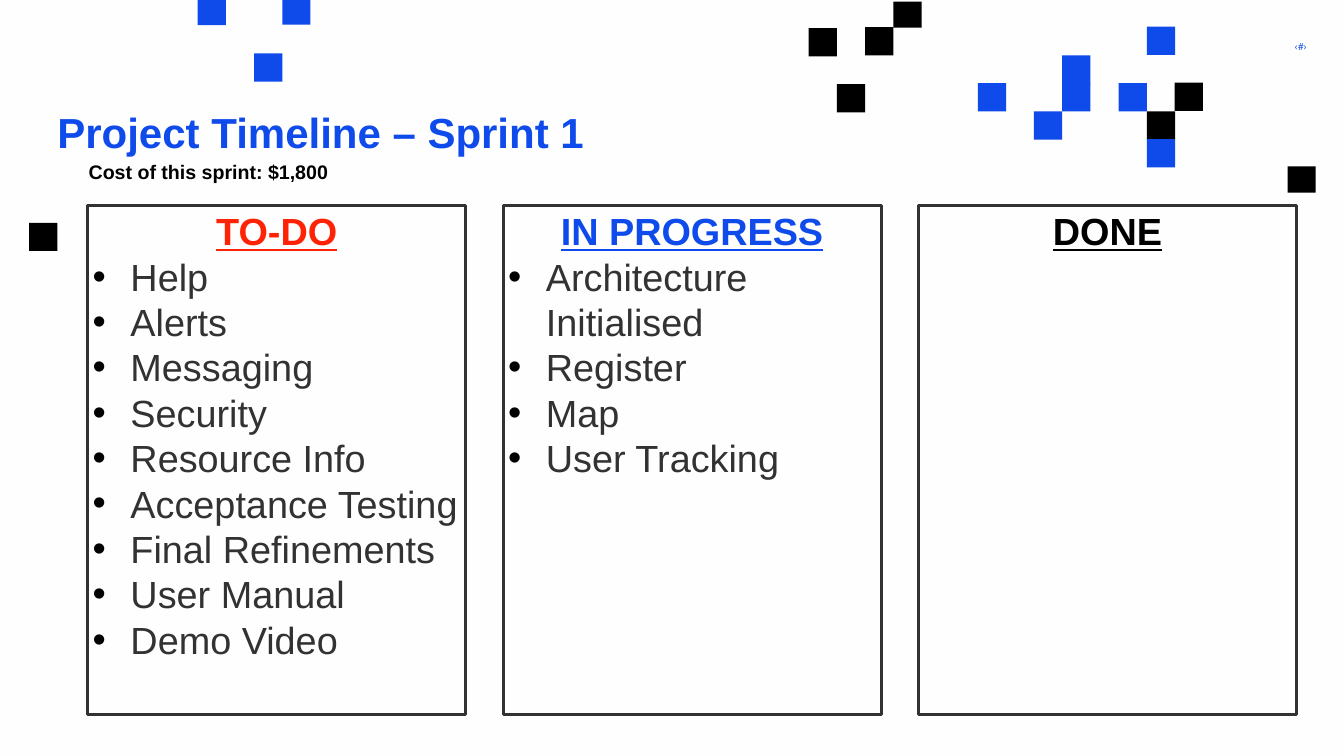
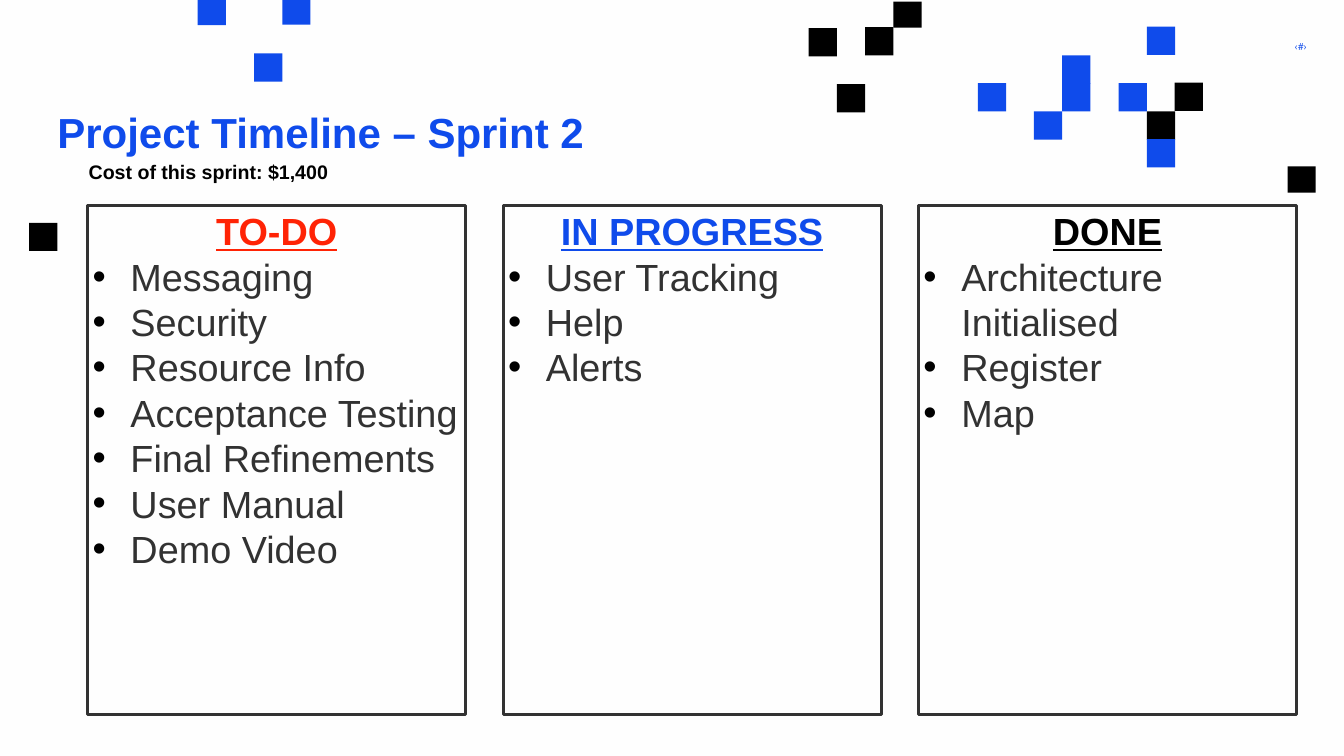
"""Build the two sprint timeline slides with their task boards."""
from dataclasses import dataclass

from lxml.etree import SubElement
from pptx import Presentation
from pptx.dml.color import RGBColor
from pptx.enum.shapes import MSO_SHAPE
from pptx.enum.text import MSO_ANCHOR as Anchor, MSO_AUTO_SIZE as AutoSize, PP_ALIGN as Align
from pptx.oxml.ns import qn
from pptx.shapes.autoshape import Shape
from pptx.slide import Slide
from pptx.text.text import TextFrame, _Paragraph as Paragraph
from pptx.util import Inches, Pt

COLORS = {
    "paper": "FEFEFE",
    "blue": "0F4BEB",
    "black": "000000",
    "red": "FF2305",
    "gray": "323232",
}
TILE = 0.56
COLUMN_LEFT, COLUMN_TOP = 1.74, 4.08
COLUMN_WIDTH, COLUMN_HEIGHT = 7.5, 10.1
COLUMN_STEP = 8.24
INDENT = 0.75


@dataclass(frozen=True)
class Tile:
    left: float
    top: float
    color: str
    height: float = TILE


@dataclass(frozen=True)
class Column:
    heading: str
    color: str


@dataclass(frozen=True)
class Sprint:
    number: int
    cost: str
    tasks: tuple[list[str], list[str], list[str]]


TILES = [
    Tile(5.6, 0, "blue", 0.49),
    Tile(3.92, 0, "blue", 0.5),
    Tile(5.04, 1.06, "blue"),
    Tile(0.58, 4.42, "black"),
    Tile(17.72, 0.03, "black", 0.52),
    Tile(22.75, 0.53, "blue"),
    Tile(17.16, 0.54, "black"),
    Tile(16.04, 0.56, "black"),
    Tile(21.07, 1.1, "blue"),
    Tile(23.3, 1.64, "black"),
    Tile(22.19, 1.65, "blue"),
    Tile(21.07, 1.65, "blue"),
    Tile(19.4, 1.65, "blue"),
    Tile(16.6, 1.67, "black"),
    Tile(22.75, 2.21, "black"),
    Tile(20.51, 2.21, "blue"),
    Tile(22.75, 2.76, "blue"),
    Tile(25.54, 3.3, "black", 0.52),
]
COLUMNS = [Column("TO-DO", "red"), Column("IN PROGRESS", "blue"), Column("DONE", "black")]
LATER_TASKS = [
    "Messaging", "Security", "Resource Info", "Acceptance Testing",
    "Final Refinements", "User Manual", "Demo Video",
]
FIRST_TASKS = ["Architecture Initialised", "Register", "Map"]
SPRINTS = [
    Sprint(1, "$1,800", (["Help", "Alerts", *LATER_TASKS], [*FIRST_TASKS, "User Tracking"], [])),
    Sprint(2, "$1,400", (LATER_TASKS, ["User Tracking", "Help", "Alerts"], FIRST_TASKS)),
]


def rgb(name: str) -> RGBColor:
    return RGBColor.from_string(COLORS[name])


def write(para: Paragraph, text: str, *, size: float, color: str, font: str = "Arial",
          bold: bool = False, underline: bool = False, align: Align = Align.LEFT) -> None:
    para.alignment = align
    span = para.add_run()
    span.text = text
    span.font.name = font
    span.font.size = Pt(size)
    span.font.bold = bold
    span.font.underline = underline
    span.font.color.rgb = rgb(color)


def add_bullet(para: Paragraph) -> None:
    props = para._p.get_or_add_pPr()
    props.set("marL", str(Inches(INDENT)))
    props.set("indent", str(-Inches(INDENT)))
    SubElement(SubElement(props, qn("a:buClr")), qn("a:srgbClr")).set("val", COLORS["black"])
    SubElement(props, qn("a:buFont")).set("typeface", "Arial")
    SubElement(props, qn("a:buChar")).set("char", "•")


def add_rectangle(page: Slide, left: float, top: float, width: float, height: float) -> Shape:
    box = page.shapes.add_shape(
        MSO_SHAPE.RECTANGLE, Inches(left), Inches(top), Inches(width), Inches(height))
    box.shadow.inherit = False
    return box


def add_tile(page: Slide, tile: Tile) -> None:
    box = add_rectangle(page, tile.left, tile.top, TILE, tile.height)
    box.fill.solid()
    box.fill.fore_color.rgb = rgb(tile.color)
    box.line.fill.background()


def add_text_frame(page: Slide, left: float, top: float, width: float, height: float,
                   inset_x: float = 0.1, inset_y: float = 0.05) -> TextFrame:
    box = page.shapes.add_textbox(Inches(left), Inches(top), Inches(width), Inches(height))
    frame = box.text_frame
    frame.word_wrap = True
    frame.auto_size = AutoSize.NONE
    frame.margin_left = frame.margin_right = Inches(inset_x)
    frame.margin_top = frame.margin_bottom = Inches(inset_y)
    return frame


def add_column(page: Slide, index: int, column: Column, tasks: list[str]) -> None:
    box = add_rectangle(
        page, COLUMN_LEFT + index * COLUMN_STEP, COLUMN_TOP, COLUMN_WIDTH, COLUMN_HEIGHT)
    box.fill.background()
    box.line.color.rgb = rgb("gray")
    box.line.width = Pt(4.5)
    frame = box.text_frame
    frame.word_wrap = True
    frame.vertical_anchor = Anchor.TOP
    write(frame.paragraphs[0], column.heading, size=54, color=column.color,
          bold=True, underline=True, align=Align.CENTER)
    for task in tasks:
        para = frame.add_paragraph()
        add_bullet(para)
        write(para, task, size=54, color="gray")


def add_decoration(page: Slide) -> None:
    page.background.fill.solid()
    page.background.fill.fore_color.rgb = rgb("paper")
    for tile in TILES:
        add_tile(page, tile)
    number = add_text_frame(page, 23.36, 0.81, 2.56, 0.24, inset_x=0, inset_y=0)
    write(number.paragraphs[0], "‹#›", size=14, color="blue", font="Roboto", align=Align.RIGHT)


def add_sprint(page: Slide, sprint: Sprint) -> None:
    add_decoration(page)
    title = add_text_frame(page, 1.04, 1.92, 17.09, 2.67, inset_y=0.1).paragraphs[0]
    title.line_spacing = 1.1
    write(title, f"Project Timeline – Sprint {sprint.number}", size=60, color="blue", bold=True)
    for index, (column, tasks) in enumerate(zip(COLUMNS, sprint.tasks)):
        add_column(page, index, column, tasks)
    cost = add_text_frame(page, 1.66, 3.13, 11.43, 0.57)
    write(cost.paragraphs[0], f"Cost of this sprint: {sprint.cost}",
          size=28, color="black", bold=True)


def main() -> None:
    deck = Presentation()
    deck.slide_width, deck.slide_height = Inches(26.66), Inches(15)
    for sprint in SPRINTS:
        add_sprint(deck.slides.add_slide(deck.slide_layouts[6]), sprint)
    deck.save("out.pptx")


if __name__ == "__main__":
    main()
